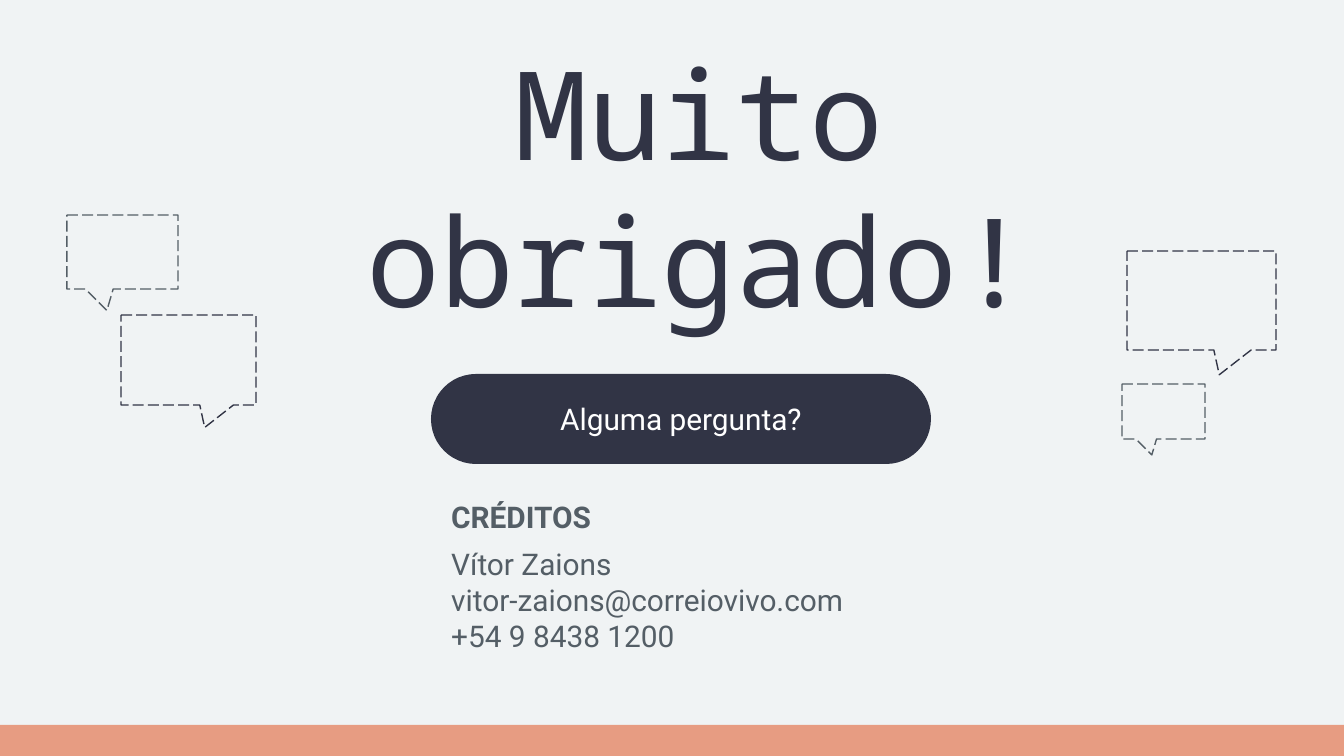
"""Build the closing thank-you slide with contact credits."""
from dataclasses import dataclass

from pptx import Presentation
from pptx import util as u
from pptx.dml.color import RGBColor
from pptx.enum import dml, shapes, text


@dataclass(frozen=True)
class Theme:
    paper: str = "F0F3F4"
    navy: str = "313445"
    slate: str = "545E66"
    coral: str = "E79C82"
    white: str = "FFFFFF"
    display: str = "Noto Sans Mono"
    body: str = "Roboto"
    title_size: int = 66
    title_leading: int = 79
    body_size: int = 16
    dash_width: float = 0.75


THEME = Theme()
SCALE = 914400 / 134.4
PAGE = (1344, 756)

TITLE = "Muito obrigado!"
QUESTION = "Alguma pergunta?"
HEADING = "CRÉDITOS"
CREDITS = ["Vítor Zaions", "vitor-zaions@correiovivo.com", "+54 9 8438 1200"]

TITLE_BOX = (302, 31, 794, 314)
PILL = (431, 374, 500, 90)
HEADING_BOX = (438, 492, 657, 133)
CREDITS_BOX = (438, 539, 657, 133)
FOOTER = (0, 725, 1344, 31)

NAVY_BUBBLE = (THEME.navy, (0.12, 0.75, 0))
SLATE_BUBBLE = (THEME.slate, (-0.14, 0.79, 0))
BUBBLES = [
    ((1127, 251, 149, 99), NAVY_BUBBLE),
    ((1122, 384, 83, 55), SLATE_BUBBLE),
    ((121, 315, 135, 90), NAVY_BUBBLE),
    ((67, 215, 111, 74), SLATE_BUBBLE),
]


def emu(lengths):
    return [u.Emu(round(length * SCALE)) for length in lengths]


def add_shape(page, kind, place, fill=None, adjustments=()):
    shape = page.shapes.add_shape(kind, *emu(place))
    shape.shadow.inherit = False
    for index, value in enumerate(adjustments):
        shape.adjustments[index] = value
    if fill:
        shape.fill.solid()
        shape.fill.fore_color.rgb = RGBColor.from_string(fill)
    else:
        shape.fill.background()
    shape.line.fill.background()
    return shape


def add_bubble(page, place, style):
    colour, tail = style
    bubble = add_shape(page, shapes.MSO_SHAPE.ROUNDED_RECTANGULAR_CALLOUT,
                       place, adjustments=tail)
    bubble.line.color.rgb = RGBColor.from_string(colour)
    bubble.line.width = u.Pt(THEME.dash_width)
    bubble.line.dash_style = dml.MSO_LINE.LONG_DASH


def write(shape, lines, colour, font=THEME.body, size=THEME.body_size,
          align=text.PP_ALIGN.LEFT, anchor=text.MSO_ANCHOR.TOP, bold=False,
          leading=None):
    frame = shape.text_frame
    frame.word_wrap = True
    frame.vertical_anchor = anchor
    frame.text = "\n".join(lines)
    for para in frame.paragraphs:
        para.alignment = align
        para.font.name = font
        para.font.size = u.Pt(size)
        para.font.bold = bold
        para.font.color.rgb = RGBColor.from_string(colour)
        if leading:
            para.line_spacing = u.Pt(leading)


def add_text(page, place, lines, colour, **style):
    write(page.shapes.add_textbox(*emu(place)), lines, colour, **style)


def main():
    deck = Presentation()
    deck.slide_width, deck.slide_height = emu(PAGE)
    page = deck.slides.add_slide(deck.slide_layouts[6])
    page.background.fill.solid()
    page.background.fill.fore_color.rgb = RGBColor.from_string(THEME.paper)

    for place, style in BUBBLES:
        add_bubble(page, place, style)
    add_shape(page, shapes.MSO_SHAPE.RECTANGLE, FOOTER, THEME.coral)

    add_text(page, TITLE_BOX, [TITLE], THEME.navy, font=THEME.display,
             size=THEME.title_size, align=text.PP_ALIGN.CENTER,
             leading=THEME.title_leading)
    pill = add_shape(page, shapes.MSO_SHAPE.ROUND_2_SAME_RECTANGLE, PILL,
                     THEME.navy, (0.5, 0.5))
    write(pill, [QUESTION], THEME.white, align=text.PP_ALIGN.CENTER,
          anchor=text.MSO_ANCHOR.MIDDLE)
    add_text(page, HEADING_BOX, [HEADING], THEME.slate, bold=True)
    add_text(page, CREDITS_BOX, CREDITS, THEME.slate)
    deck.save("out.pptx")


if __name__ == "__main__":
    main()
